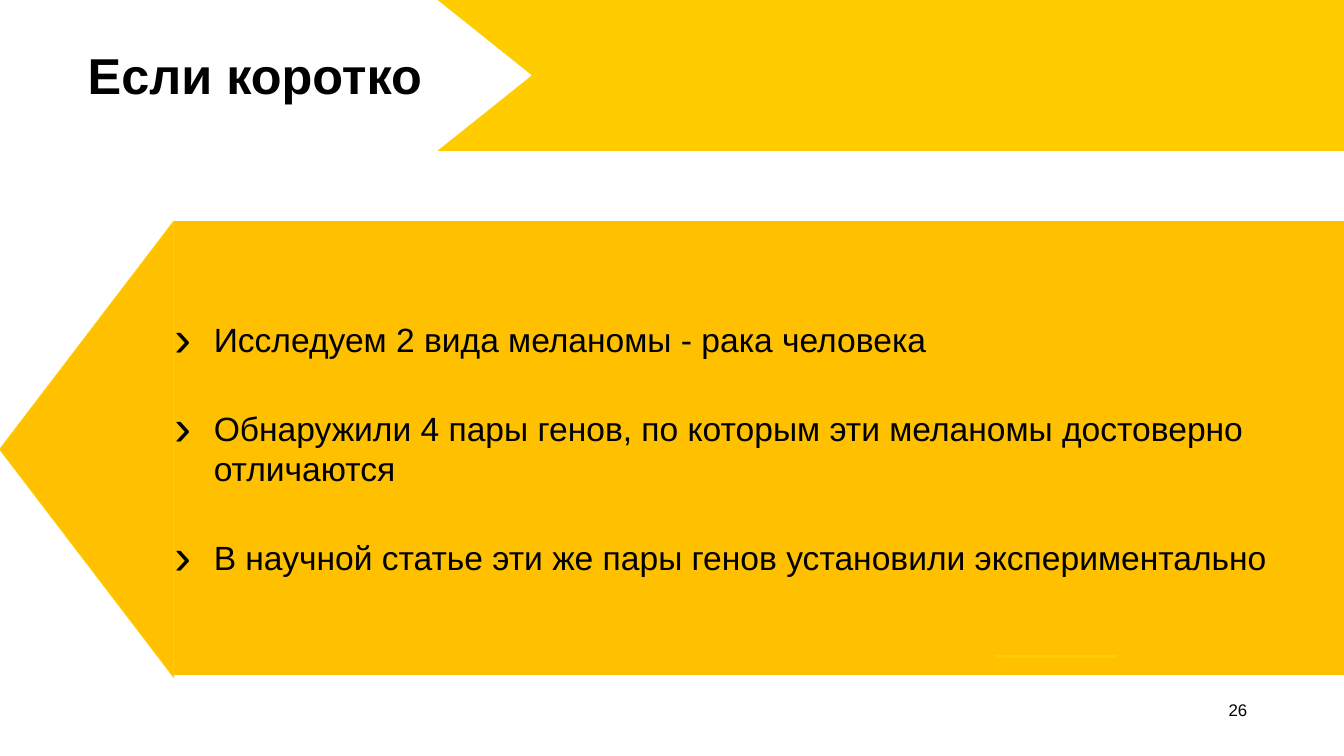
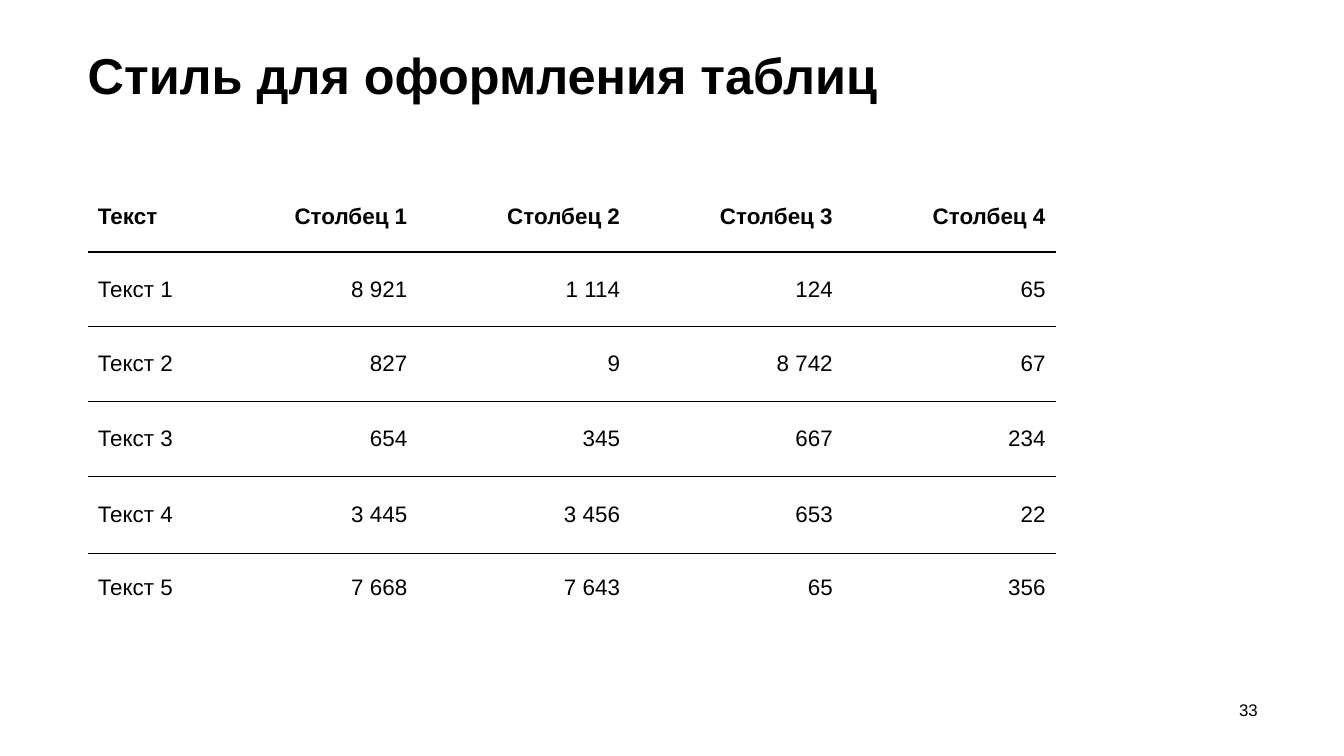
from dataclasses import dataclass

from lxml.etree import SubElement
from pptx import Presentation
from pptx.dml.color import RGBColor as Color
from pptx.enum.shapes import MSO_SHAPE as Preset
from pptx.enum.text import MSO_ANCHOR as Anchor, PP_ALIGN as Align
from pptx.oxml.ns import qn
from pptx.util import Emu, Pt

PX = 9144
PAGE_SIZE = (2666, 1500)


@dataclass(frozen=True)
class Theme:
    font: str = "Arial"
    ink: str = "000000"
    paper: str = "FFFFFF"
    band: str = "FFCC00"
    panel: str = "FFC000"
    title_size: int = 72
    body_size: int = 48
    table_size: int = 32
    number_size: int = 24
    title_leading: float = 90
    body_leading: float = 57.5
    outline: float = 1.5
    header_rule: float = 3
    row_rule: float = 1


THEME = Theme()

SUMMARY = {
    "title": "Если коротко",
    "number": "26",
    "number_at": (2354, 1381, 120, 48),
    "points": [
        "Исследуем 2 вида меланомы - рака человека",
        "Обнаружили 4 пары генов, по которым эти меланомы достоверно отличаются",
        "В научной статье эти же пары генов установили экспериментально",
    ],
}

TABLE = {
    "title": "Стиль для оформления таблиц",
    "number": "33",
    "number_at": (2375, 1380, 120, 48),
    "rows": [
        ("Текст", "Столбец 1", "Столбец 2", "Столбец 3", "Столбец 4"),
        ("Текст 1", "8 921", "1 114", "124", "65"),
        ("Текст 2", "827", "9", "8 742", "67"),
        ("Текст 3", "654", "345", "667", "234"),
        ("Текст 4", "3 445", "3 456", "653", "22"),
        ("Текст 5", "7 668", "7 643", "65", "356"),
    ],
    "widths": [261, 393, 422, 422, 422],
    "heights": [141, 148, 149, 149, 152, 136],
}


def px(*lengths):
    return [Emu(length * PX) for length in lengths]


def set_margins(target, left=0, top=0, right=0, bottom=0):
    target.margin_left, target.margin_top, target.margin_right, target.margin_bottom = px(
        left, top, right, bottom)


def style_text(para, size, bold=False):
    for span in para.runs:
        span.font.name = THEME.font
        span.font.size = Pt(size)
        span.font.bold = bold
        span.font.color.rgb = Color.from_string(THEME.ink)


def add_block(page, preset, place, fill, line=None, rotation=0):
    block = page.shapes.add_shape(preset, *px(*place))
    block.shadow.inherit = False
    block.rotation = rotation
    block.fill.solid()
    block.fill.fore_color.rgb = Color.from_string(fill)
    if line:
        block.line.color.rgb = Color.from_string(line)
        block.line.width = Pt(THEME.outline)
    else:
        block.line.fill.background()
    return block


def add_label(page, text, place, size, top, bold=False, align=Align.LEFT, anchor=Anchor.TOP):
    frame = page.shapes.add_textbox(*px(*place)).text_frame
    frame.word_wrap = True
    frame.vertical_anchor = anchor
    set_margins(frame, top=top)
    frame.text = text
    para = frame.paragraphs[0]
    para.alignment = align
    style_text(para, size, bold)
    return para


def add_heading(page, content):
    title = add_label(page, content["title"], (174, 60, 2322, 159), THEME.title_size, 22, bold=True)
    title.line_spacing = Pt(THEME.title_leading)
    add_label(page, content["number"], content["number_at"], THEME.number_size, 8,
              align=Align.RIGHT, anchor=Anchor.MIDDLE)


def add_bullet(para):
    props = para._p.get_or_add_pPr()
    props.set("marL", str(79 * PX))
    props.set("indent", str(-78 * PX))
    SubElement(props, qn("a:buSzPct"), val="150000")
    SubElement(props, qn("a:buFont"), typeface=THEME.font)
    SubElement(props, qn("a:buChar"), char="›")


def add_points(panel, points):
    frame = panel.text_frame
    frame.word_wrap = True
    frame.vertical_anchor = Anchor.MIDDLE
    set_margins(frame)
    for index, point in enumerate(points):
        para = frame.add_paragraph() if index else frame.paragraphs[0]
        para.text = point
        para.level = 2
        para.alignment = Align.LEFT
        add_bullet(para)
        para.line_spacing = Pt(THEME.body_leading)
        para.space_before = Pt(THEME.body_leading + 6 if index else 0)
        para.space_after = Pt(6)
        style_text(para, THEME.body_size)


def build_summary(page):
    add_block(page, Preset.RECTANGLE, (0, 0, 2666, 299), THEME.band, THEME.band)
    add_block(page, Preset.RECTANGLE, (-13, 0, 880, 299), THEME.paper, THEME.paper)
    add_heading(page, SUMMARY)
    panel = add_block(page, Preset.RECTANGLE, (345, 439, 2321, 900), THEME.panel)
    add_points(panel, SUMMARY["points"])
    add_block(page, Preset.ISOSCELES_TRIANGLE, (810, 56, 299, 187), THEME.paper, THEME.paper, 90)
    add_block(page, Preset.RECTANGLE, (1974, 1300, 240, 5), THEME.band, THEME.band)
    add_block(page, Preset.ISOSCELES_TRIANGLE, (-280, 719, 904, 345), THEME.panel, THEME.band, 270)


def set_borders(cell, top, bottom):
    props = cell._tc.get_or_add_tcPr()
    for side, width in (("L", 0), ("R", 0), ("T", top), ("B", bottom)):
        line = SubElement(props, qn(f"a:ln{side}"), w=str(Pt(width)))
        if width:
            fill = SubElement(line, qn("a:solidFill"))
            SubElement(fill, qn("a:srgbClr"), val=THEME.ink)
        else:
            SubElement(line, qn("a:noFill"))


def build_table(page):
    add_heading(page, TABLE)
    rows, widths, heights = TABLE["rows"], TABLE["widths"], TABLE["heights"]
    place = (174, 359, sum(widths), sum(heights))
    grid = page.shapes.add_table(len(rows), len(widths), *px(*place)).table
    grid.first_row = grid.horz_banding = False
    for column, width in zip(grid.columns, px(*widths)):
        column.width = width
    for row, height in zip(grid.rows, px(*heights)):
        row.height = height
    rules = [0, THEME.header_rule] + [THEME.row_rule] * (len(rows) - 2) + [0]
    for r, values in enumerate(rows):
        for c, value in enumerate(values):
            cell = grid.cell(r, c)
            cell.text = value
            cell.vertical_anchor = Anchor.MIDDLE
            set_margins(cell, left=20, right=20)
            set_borders(cell, rules[r], rules[r + 1])
            cell.fill.background()
            para = cell.text_frame.paragraphs[0]
            para.alignment = Align.RIGHT if c else Align.LEFT
            style_text(para, THEME.table_size, bold=r == 0)


def main():
    deck = Presentation()
    deck.slide_width, deck.slide_height = px(*PAGE_SIZE)
    for build in (build_summary, build_table):
        page = deck.slides.add_slide(deck.slide_layouts[6])
        page.background.fill.solid()
        page.background.fill.fore_color.rgb = Color.from_string(THEME.paper)
        build(page)
    deck.save("out.pptx")


if __name__ == "__main__":
    main()
